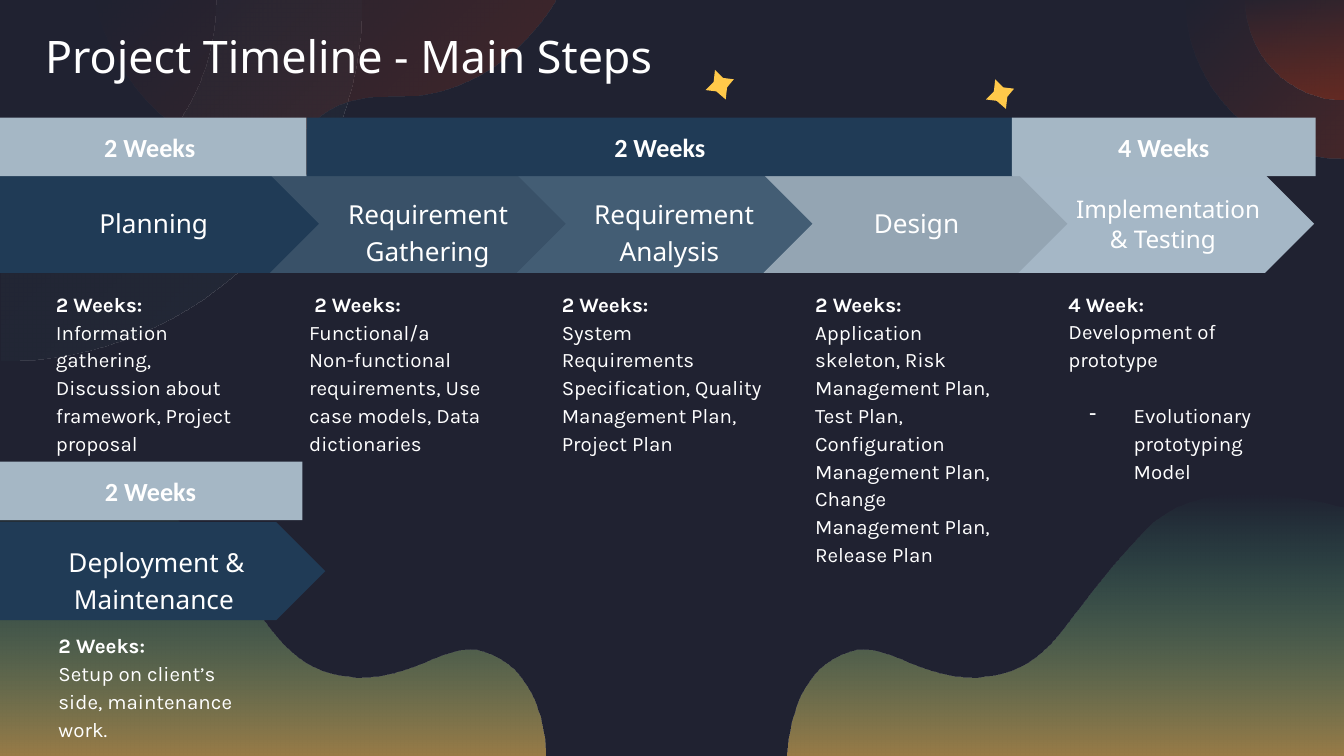
from lxml import etree
from pptx import Presentation
from pptx.dml.color import RGBColor
from pptx.enum.shapes import MSO_SHAPE
from pptx.enum.text import MSO_ANCHOR, PP_ALIGN
from pptx.oxml.ns import qn
from pptx.util import Inches, Pt

CENTER, LEFT = PP_ALIGN.CENTER, PP_ALIGN.LEFT
TOP, MIDDLE = MSO_ANCHOR.TOP, MSO_ANCHOR.MIDDLE
CHEVRON, PENTAGON, RECTANGLE = MSO_SHAPE.CHEVRON, MSO_SHAPE.PENTAGON, MSO_SHAPE.RECTANGLE

COLUMNS, ROWS = 100, 56.25
CELL = Inches(0.1)
NAVY, PALE, WHITE, RUST = "203B56", "A5B7C5", "FFFFFF", "9C3218"
BAR_HEIGHT, ARROW_HEIGHT = 4.35, 7.3
FIRST_ARROW, ARROW_PITCH, ARROW_WIDTH = 20.1, 18.36, 22.6

# Outlines: a start point, then lines (one point) and curves (three points).
HILL = [(6.4, 36.7), (9.4, 36.7, 12.2, 37.4, 14.2, 39.6),
        (20.7, 46.5, 20.7, 49.7, 25.9, 50.3), (26.2, 50.4, 26.6, 50.4, 26.9, 50.4),
        (30.5, 50.4, 32.6, 48.3, 35, 48.3), (35.6, 48.3, 36.3, 48.5, 37, 48.9),
        (40.6, 50.8, 40.6, 56.3, 40.6, 56.3), (-0.8, 56.3), (-0.8, 37.8),
        (1.5, 37.2, 4, 36.7, 6.4, 36.7)]
MIRRORED_HILL = [tuple(99.2 - value if i % 2 == 0 else value for i, value in enumerate(step))
                 for step in HILL]
OUTER_DISC = [(100, 0), (100, 11.8), (93.5, 11.8, 88.2, 6.5, 88.2, 0)]
INNER_DISC = [(100, 0), (100, 7.4), (96, 7.4, 92.7, 4.1, 92.7, 0)]
RING = [(26.9, 0), (26.9, 14.8, 14.9, 26.8, 0.1, 26.8), (0.1, 16),
        (9, 16, 16.1, 8.8, 16.1, 0)]
CLOUD = [(7, 0), (7, 0, 8.8, 8.9, 16.4, 10.8), (17.5, 11.1, 18.3, 11.2, 19, 11.2),
         (23.3, 11.2, 22.4, 7.2, 28.8, 7.2), (29.1, 7.2, 29.4, 7.2, 29.7, 7.2),
         (37.4, 7.2, 41.3, 0, 41.3, 0)]
STAR = [(0, 1.5), (0.8, 1.6), (1.5, 2.2), (1.6, 1.3), (2.1, 0.7),
        (1.3, 0.6), (0.7, 0), (0.6, 0.9)]

# Outline, first colour, its opacity, last colour, its opacity, clockwise angle
DECOR = [(OUTER_DISC, RUST, 30, RUST, 0, 225), (INNER_DISC, RUST, 42, RUST, 0, 270),
         (RING, "252C3A", 75, "252C3A", 20, 225), (MIRRORED_HILL, "FEC659", 55, "4AFFC3", 0, 270),
         (CLOUD, RUST, 30, RUST, 0, 225), (HILL, "FEC659", 55, "4AFFC3", 0, 270)]

BARS = [((-0.5, 8.75, 23.3), PALE, "2 Weeks"), ((22.85, 8.75, 52.5), NAVY, "2 Weeks"),
        ((75.3, 8.75, 22.6), PALE, "4 Weeks"), ((-0.1, 34.35, 22.6), PALE, "2 Weeks")]
# Label lines, size, distance from the arrow's left side, hanging indent
STARTS = [((-0.4, 13, 24.2), ["Planning"], 14, 7.8, 0),
          ((0, 38.85, 24.2), ["Deployment &", "Maintenance"], 14, 5.1, 0.4)]
# Place in the row and colour, then the label; Design lies over Implementation
STEPS = [(0, "395168", ["Requirement", "Gathering"], 14, 5.8, 1.3),
         (1, "435D74", ["Requirement", "Analysis"], 14, 5.75, 1.9),
         (3, "A5B7C6", ["Implementation", "& Testing"], 13, 4.9, 2.5),
         (2, "94A5B3", ["Design"], 14, 8.2, 0)]
DETAILS = [
    ((4.15, 21.3, 15.2, 12.5), "2 Weeks:",
     ["Information gathering, Discussion about framework, Project proposal"], []),
    ((23, 21.3, 15.9, 12.5), " 2 Weeks:",
     ["Functional/a", "Non-functional requirements, Use case models, Data dictionaries"], []),
    ((41.8, 21.3, 15.1, 12.5), "2 Weeks:",
     ["System Requirements Specification, Quality Management Plan, Project Plan"], []),
    ((60.65, 21.3, 14.2, 21.1), "2 Weeks:",
     ["Application skeleton, Risk Management Plan, Test Plan, Configuration Management Plan,",
      "Change Management Plan, Release Plan"], []),
    ((79.5, 21.3, 15.2, 14.6), "4 Week:", ["Development of prototype"],
     ["Evolutionary prototyping Model"]),
    ((4.35, 46.7, 14.8, 8.3), "2 Weeks:", ["Setup on client’s side, maintenance work."], []),
]


def cells(*values):
    return [round(value * CELL) for value in values]


def color(hex_text):
    return RGBColor.from_string(hex_text)


def paint(shape, hex_text):
    shape.fill.solid()
    shape.fill.fore_color.rgb = color(hex_text)
    shape.line.fill.background()
    shape.shadow.inherit = False


def set_frame(frame, inset_x=0, inset_top=0.2, anchor=TOP):
    side, top = cells(inset_x, inset_top)
    for name, value in dict(word_wrap=True, margin_left=side, margin_right=side, margin_top=top,
                            margin_bottom=0, vertical_anchor=anchor).items():
        setattr(frame, name, value)


def set_indent(para, margin, indent):
    """Indent a paragraph, by lengths in grid cells."""
    props = para._p.get_or_add_pPr()
    for name, value in zip(("marL", "indent"), cells(margin, indent)):
        props.set(name, str(value))
    return props


def write(para, text, size, font="Noto Sans", bold=False, align=LEFT, spacing=1.0):
    para.text = text
    para.alignment, para.line_spacing = align, spacing
    for name, value in dict(name=font, size=Pt(size), bold=bold).items():
        setattr(para.font, name, value)
    para.font.color.rgb = color(WHITE)


def draw_outline(page, steps):
    """Build a closed freeform, then bend the segments that have control points."""
    anchors = [cells(*step[-2:]) for step in steps]
    builder = page.shapes.build_freeform(*anchors[0])
    builder.add_line_segments(anchors[1:], close=True)
    shape = builder.convert_to_shape()
    segments = list(shape._element.iter(qn("a:lnTo")))
    for step, segment in zip(steps[1:], segments):
        if len(step) == 2:
            continue
        curve = etree.Element(qn("a:cubicBezTo"))
        for knot in (step[:2], step[2:4], step[4:]):
            x, y = cells(*knot)
            point = etree.SubElement(curve, qn("a:pt"))
            point.set("x", str(x - shape.left))
            point.set("y", str(y - shape.top))
        segment.getparent().replace(segment, curve)
    return shape


def add_decor(page):
    for steps, first, first_opacity, last, last_opacity, angle in DECOR:
        shape = draw_outline(page, steps)
        paint(shape, first)
        shape.fill.gradient()
        shape.fill.gradient_angle = 360 - angle
        for stop, shade in zip(shape.fill.gradient_stops, (first, last)):
            stop.color.rgb = color(shade)
        tints = shape._element.spPr.find(qn("a:gradFill")).iter(qn("a:srgbClr"))
        for tint, opacity in zip(tints, (first_opacity, last_opacity)):
            etree.SubElement(tint, qn("a:alpha")).set("val", str(opacity * 1000))
    for left, top in ((73.35, 5.9), (52.5, 5.2)):
        paint(draw_outline(page, [(left + x, top + y) for x, y in STAR]), "FFC94A")


def add_title(page, box):
    """Format the title and bring it in front of the decoration."""
    title = page.shapes.title
    title.left, title.top, title.width, title.height = cells(*box)
    set_frame(title.text_frame, 1, 1)
    write(title.text_frame.paragraphs[0], "Project Timeline - Main Steps", 24)
    title._element.getparent().append(title._element)


def add_bar(page, box, fill, text):
    bar = page.shapes.add_shape(RECTANGLE, *cells(*box, BAR_HEIGHT))
    paint(bar, fill)
    set_frame(bar.text_frame, 1, 0, MIDDLE)
    write(bar.text_frame.paragraphs[0], text, 14, "Calibri", True, CENTER)


def add_arrow(page, kind, box, fill, lines, size, offset, hang):
    left, top, width = box
    arrow = page.shapes.add_shape(kind, *cells(left, top, width, ARROW_HEIGHT))
    arrow.adjustments[0] = 0.5
    paint(arrow, fill)
    drop, spacing = (1.2, 1.17) if len(lines) > 1 else (2.25, 1.0)
    if size == 13:
        drop, spacing = 1.25, 1.01
    label = page.shapes.add_textbox(*cells(left + offset, top + drop, 15, ARROW_HEIGHT - drop))
    set_frame(label.text_frame)
    para = label.text_frame.paragraphs[0]
    set_indent(para, hang, -hang)
    write(para, "\v".join(lines), size, spacing=spacing)


def add_details(page, box, heading, texts, bullets):
    frame = page.shapes.add_textbox(*cells(*box)).text_frame
    set_frame(frame, inset_top=0.4)
    write(frame.paragraphs[0], heading, 11, "Karla", True)
    for text in texts:
        write(frame.add_paragraph(), text, 11, "Karla", spacing=1.13)
    for text in bullets:
        para = frame.add_paragraph()
        props = set_indent(para, 4.85, -3.3)
        etree.SubElement(props, qn("a:buChar")).set("char", "-")
        write(para, text, 11, "Karla", spacing=1.13)
        para.space_before = Pt(15)


def main():
    deck = Presentation()
    deck.slide_width, deck.slide_height = cells(COLUMNS, ROWS)
    page = deck.slides.add_slide(deck.slide_layouts[5])
    page.background.fill.solid()
    page.background.fill.fore_color.rgb = color("202231")
    add_decor(page)
    add_title(page, (2.35, 1.1, 84.2, 7.4))
    for box, *label in STARTS:
        add_arrow(page, PENTAGON, box, NAVY, *label)
    for place, fill, *label in STEPS:
        box = (FIRST_ARROW + place * ARROW_PITCH, 13, ARROW_WIDTH)
        add_arrow(page, CHEVRON, box, fill, *label)
    for bar in BARS:
        add_bar(page, *bar)
    for details in DETAILS:
        add_details(page, *details)
    deck.save("out.pptx")


if __name__ == "__main__":
    main()
